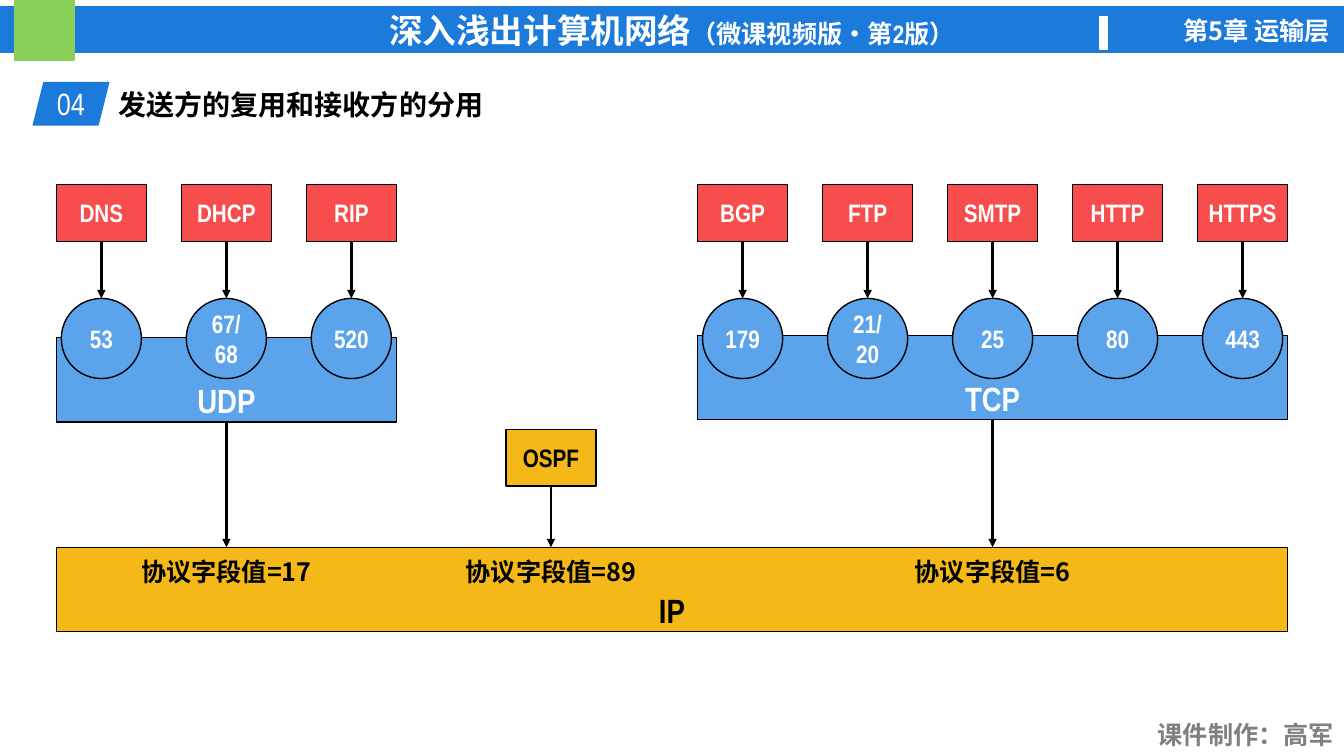
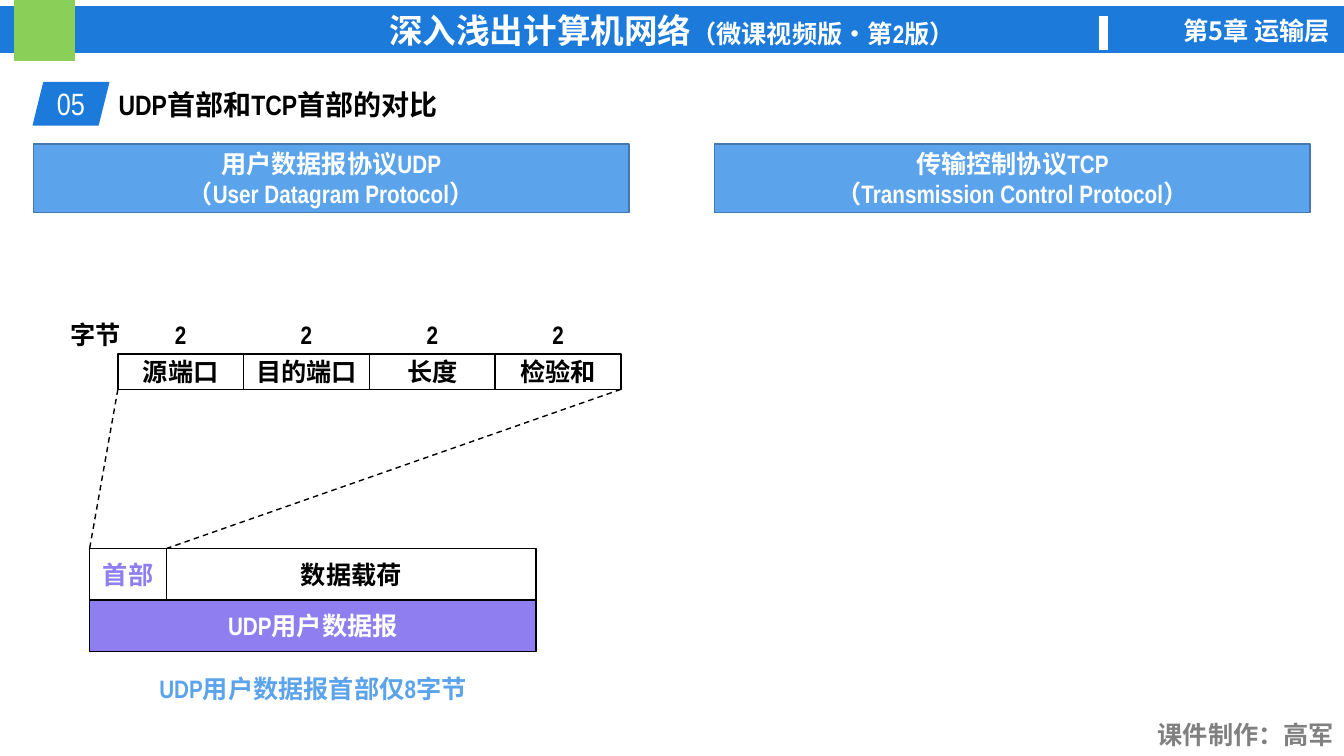
from dataclasses import dataclass

from lxml.etree import SubElement
from pptx import Presentation
from pptx.dml.color import RGBColor
from pptx.enum.dml import MSO_LINE_DASH_STYLE as Dash
from pptx.enum.shapes import MSO_CONNECTOR, MSO_SHAPE as Shape
from pptx.enum.text import MSO_ANCHOR as Anchor, PP_ALIGN as Align
from pptx.oxml.ns import qn
from pptx.util import Cm, Pt


@dataclass(frozen=True)
class Theme:
    blue: str = "1B7ADA"
    green: str = "8ACF57"
    sky: str = "5BA3EB"
    sky_edge: str = "4379AE"
    red: str = "F84D4D"
    amber: str = "F4B919"
    violet: str = "8E7EF0"
    gray: str = "808080"
    black: str = "000000"
    white: str = "FFFFFF"
    latin: str = "Arial Narrow"
    chinese: str = "Noto Sans CJK SC"
    large: int = 24
    badge: int = 22
    heading: int = 20
    body: int = 18


theme = Theme()


def add_text(slide, text, left, top, width, height, *, outline=None, fill=None,
             edge=theme.black, color=theme.black, size=theme.body, bold=True,
             font=theme.latin, align=Align.CENTER, anchor=None, inset=0.25,
             bottom=0.13, small=""):
    """Place text, in an outlined preset shape if one is given; lengths are in cm.

    Each line of text is a paragraph; small follows the last one at body size.
    """
    place = [Cm(length) for length in (left, top, width, height)]
    if outline is None:
        box = slide.shapes.add_textbox(*place)
    else:
        box = slide.shapes.add_shape(outline, *place)
        box.shadow.inherit = False
        box.fill.solid()
        box.fill.fore_color.rgb = RGBColor.from_string(fill)
        box.line.color.rgb = RGBColor.from_string(edge)
        box.line.width = Pt(1)

    frame = box.text_frame
    frame.word_wrap = True
    frame.vertical_anchor = anchor or (Anchor.MIDDLE if outline else Anchor.TOP)
    frame.margin_left = frame.margin_right = Cm(inset)
    frame.margin_bottom = Cm(bottom)
    lines = text.split("\n")
    for index, line in enumerate(lines):
        paragraph = frame.paragraphs[0] if index == 0 else frame.add_paragraph()
        paragraph.alignment = align
        pieces = [(line, size)]
        if index == len(lines) - 1:
            pieces.append((small, theme.body))
        for piece, points in pieces:
            if not piece:
                continue
            run = paragraph.add_run()
            run.text = piece
            run.font.name = font
            run.font.size = Pt(points)
            run.font.bold = bold
            run.font.color.rgb = RGBColor.from_string(color)
            SubElement(run.font._element, qn("a:ea"), typeface=theme.chinese)


def add_line(slide, x1, y1, x2, y2, *, width=2, arrow=True, dash=None):
    line = slide.shapes.add_connector(
        MSO_CONNECTOR.STRAIGHT, Cm(x1), Cm(y1), Cm(x2), Cm(y2))
    line.line.color.rgb = RGBColor.from_string(theme.black)
    line.line.width = Pt(width)
    if dash:
        line.line.dash_style = dash
    properties = line._element.spPr
    if arrow:
        SubElement(properties.find(qn("a:ln")), qn("a:tailEnd"), type="triangle")
    SubElement(properties, qn("a:effectLst"))


deck = Presentation()
deck.slide_width, deck.slide_height = Cm(33.87), Cm(19.05)

# Header, footer and numbered heading on every slide
slides = []
for number, heading in (("04", "发送方的复用和接收方的分用"),
                        ("05", "UDP首部和TCP首部的对比")):
    slide = deck.slides.add_slide(deck.slide_layouts[6])
    slides.append(slide)
    add_text(slide, "深入浅出计算机网络", 0, 0.18, 33.87, 1.14, outline=Shape.RECTANGLE,
             fill=theme.blue, edge=theme.blue, color=theme.white, size=theme.large,
             small="（微课视频版•第2版）")
    for tint, left, top, width, height in ((theme.green, 0.36, 0, 1.52, 1.52),
                                           (theme.white, 27.71, 0.41, 0.2, 0.84)):
        add_text(slide, "", left, top, width, height, outline=Shape.RECTANGLE,
                 fill=tint, edge=tint)
    add_text(slide, "第5章 运输层", 28.22, 0.25, 5.54, 1.02, color=theme.white,
             font=theme.chinese, align=Align.RIGHT)
    add_text(slide, "课件制作：高军", 28.8, 18.01, 5.07, 1.02, color=theme.gray,
             align=Align.RIGHT)
    add_text(slide, number, 0.84, 2.08, 1.9, 1.07, outline=Shape.PARALLELOGRAM,
             fill=theme.blue, edge=theme.blue, color=theme.white, size=theme.badge,
             bold=False, inset=0)
    add_text(slide, heading, 2.74, 2.08, 15.3, 1.12, size=theme.heading, align=Align.LEFT)

multiplexing, headers = slides

# Multiplexing: applications, ports, transport layer, IP
app_width, app_height, app_pitch, app_top = 2.27, 1.43, 3.15, 4.65
port_size, port_top = 2.02, 7.52
layer_height, ip_left, ip_top, ip_width = 2.13, 1.42, 13.79, 31.03
layer_style = dict(outline=Shape.RECTANGLE, size=theme.large, anchor=Anchor.BOTTOM,
                   bottom=0.05)

add_text(multiplexing, "IP", ip_left, ip_top, ip_width, layer_height, fill=theme.amber,
         **layer_style)

transports = (
    ("UDP", 17, ip_left, 8.51, (("DNS", "53"), ("DHCP", "67/\n68"), ("RIP", "520"))),
    ("TCP", 6, 17.58, 8.45, (("BGP", "179"), ("FTP", "21/\n20"), ("SMTP", "25"),
                             ("HTTP", "80"), ("HTTPS", "443"))),
)
entries = []
for protocol, value, left, top, apps in transports:
    width = (len(apps) - 1) * app_pitch + app_width
    add_text(multiplexing, protocol, left, top, width, layer_height, fill=theme.sky,
             color=theme.white, **layer_style)
    entries.append((value, left + width / 2, top + layer_height))
    for index, (app, port) in enumerate(apps):
        app_left = left + index * app_pitch
        center = app_left + app_width / 2
        add_text(multiplexing, app, app_left, app_top, app_width, app_height,
                 outline=Shape.RECTANGLE, fill=theme.red, color=theme.white, inset=0)
        add_text(multiplexing, port, center - port_size / 2, port_top, port_size, port_size,
                 outline=Shape.OVAL, fill=theme.sky, color=theme.white, inset=0)
        add_line(multiplexing, center, app_top + app_height, center, port_top)

ospf_left, ospf_top = 12.75, 10.82
add_text(multiplexing, "OSPF", ospf_left, ospf_top, app_width, app_height,
         outline=Shape.RECTANGLE, fill=theme.amber, inset=0)
entries.append((89, ospf_left + app_width / 2, ospf_top + app_height))

value_width = 5.14
for value, center, start in entries:
    add_line(multiplexing, center, start, center, ip_top)
    add_text(multiplexing, f"协议字段值={value}", center - value_width / 2, 13.89,
             value_width, 1.02, font=theme.chinese)

# Header comparison: protocol banners
for left, banner in ((0.84, "用户数据报协议UDP\n（User Datagram Protocol）"),
                     (18.01, "传输控制协议TCP\n（Transmission Control Protocol）")):
    add_text(headers, banner, left, 3.63, 15.01, 1.73, outline=Shape.RECTANGLE,
             fill=theme.sky, edge=theme.sky_edge, color=theme.white)

# UDP header fields and their lengths in bytes
fields = ("源端口", "目的端口", "长度", "检验和")
field_left, field_top, field_width, field_height = 2.97, 8.92, 3.17, 0.89
bytes_top, label_height = 7.92, 1.02
add_text(headers, "字节", 1.52, bytes_top, 1.85, label_height, align=Align.LEFT)
for index, field in enumerate(fields):
    left = field_left + index * field_width
    add_text(headers, field, left, field_top, field_width, field_height,
             outline=Shape.RECTANGLE, fill=theme.white)
    add_text(headers, "2", left, bytes_top, field_width, label_height)

# UDP datagram: header and payload
datagram_left, datagram_top, datagram_width, row_height = 2.26, 13.82, 11.25, 1.3
header_width = 1.94
payload_left = datagram_left + header_width
for part, left, row, width, fill, color in (
        ("首部", datagram_left, 0, header_width, theme.white, theme.violet),
        ("数据载荷", payload_left, 0, datagram_width - header_width, theme.white, theme.black),
        ("UDP用户数据报", datagram_left, 1, datagram_width, theme.violet, theme.white)):
    add_text(headers, part, left, datagram_top + row * row_height, width, row_height,
             outline=Shape.RECTANGLE, fill=fill, color=color, inset=0)

fields_right = field_left + len(fields) * field_width
for start, end in ((field_left, datagram_left), (fields_right, payload_left)):
    add_line(headers, start, field_top + field_height, end, datagram_top,
             width=1, arrow=False, dash=Dash.DASH)
add_text(headers, "UDP用户数据报首部仅8字节", datagram_left, 16.84, datagram_width,
         label_height, color=theme.sky)

deck.save("out.pptx")
